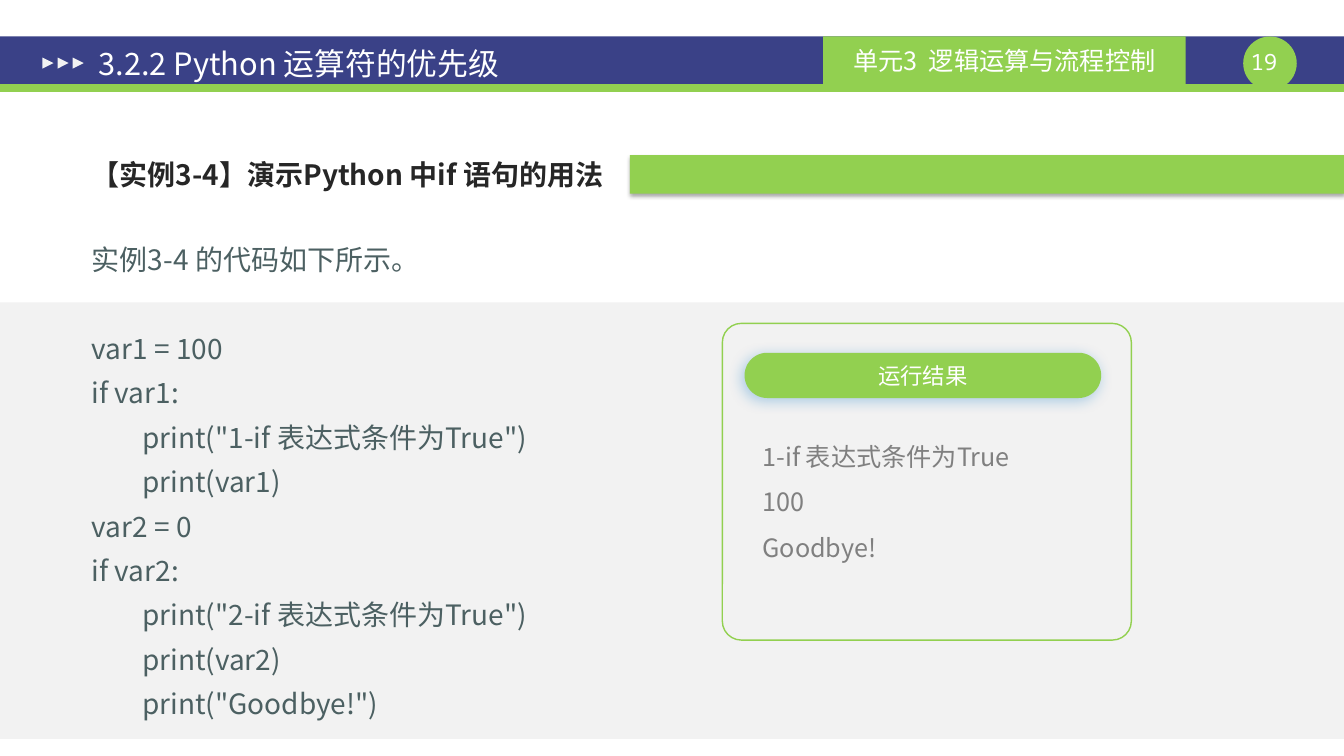
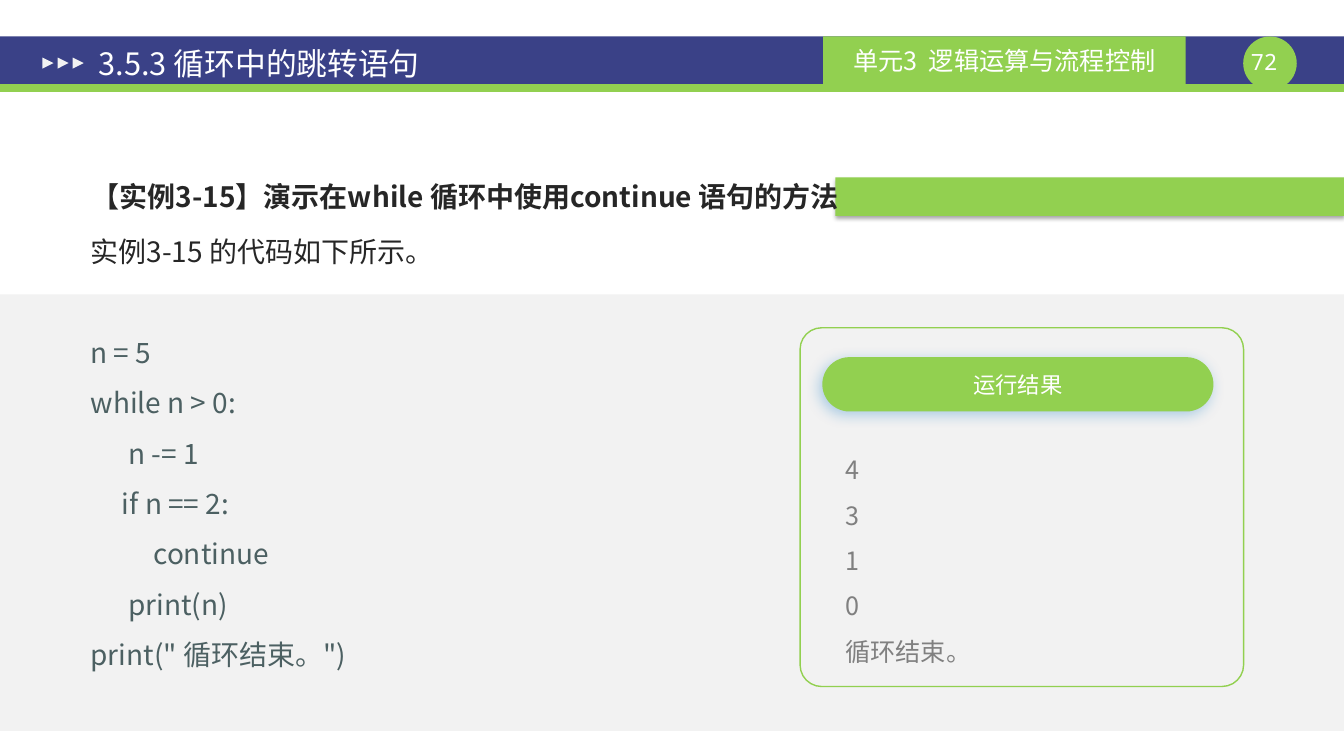
from lxml import etree
from pptx import Presentation
from pptx.dml.color import RGBColor
from pptx.enum.shapes import MSO_SHAPE as Shape
from pptx.enum.text import MSO_ANCHOR as Anchor, MSO_AUTO_SIZE as AutoSize, PP_ALIGN as Align
from pptx.oxml.ns import qn
from pptx.util import Cm, Pt

WIDTH, HEIGHT = 33.88, 19.05
SANS, MONO = "Noto Sans CJK SC", "Noto Sans Mono"
GREEN, NAVY, PALE, WHITE = "92D050", "3A4187", "F2F2F2", "FFFFFF"
DARK, SLATE, GREY = "262626", "4C6062", "808080"
CHAPTER = "单元3  逻辑运算与流程控制"
INDENT, TAB = 1.27, 3.39

# colour, opacity %, blur pt, distance pt, angle
BAR_SHADOW = ("000000", 35, 3.1, 1.8, 90)
BUTTON_SHADOW = ("0070C0", 30, 10, 3, 135)


def rgb(value):
    return RGBColor.from_string(value)


class Lesson:
    """Holds the deck, its style and the current slide."""

    def __init__(self):
        self.deck = Presentation()
        self.deck.slide_width, self.deck.slide_height = Cm(WIDTH), Cm(HEIGHT)
        self.slide = None

    # Text helpers
    def format_runs(self, para, size, color, bold=False, font=SANS):
        for span in para.runs:
            span.font.size, span.font.bold = Pt(size), bold
            span.font.color.rgb = rgb(color)
            span.font.name = font
            latin = span.font._element.find(qn("a:latin"))
            east_asian = etree.Element(qn("a:ea"), typeface=font)
            latin.addnext(east_asian)

    def fill_text(self, box, lines, size, color, spacing=1.0, align=Align.LEFT,
                  indent=0, bold=False, font=SANS):
        frame = box.text_frame
        frame.word_wrap, frame.auto_size = True, AutoSize.NONE
        frame.text = "\n".join(lines)
        for para in frame.paragraphs:
            props = para._p.get_or_add_pPr()
            props.set("marL", "0")
            props.set("indent", str(Cm(indent)))
            etree.SubElement(props, qn("a:buNone"))
            if "\t" in para.text:
                tabs = etree.SubElement(props, qn("a:tabLst"))
                etree.SubElement(tabs, qn("a:tab"), pos=str(Cm(TAB)), algn="l")
            para.alignment, para.line_spacing = align, spacing
            para.space_before = para.space_after = Pt(0)
            self.format_runs(para, size, color, bold, font)
        return frame

    def set_margins(self, frame, side, top):
        frame.margin_left = frame.margin_right = Cm(side)
        frame.margin_top = frame.margin_bottom = Cm(top)

    # Basic elements
    def shape(self, kind, left, top, width, height, fill=None, line=None,
              shadow=None, radius=None):
        shape = self.slide.shapes.add_shape(
            kind, Cm(left), Cm(top), Cm(width), Cm(height))
        if radius is not None:
            shape.adjustments[0] = radius
        if fill:
            shape.fill.solid()
            shape.fill.fore_color.rgb = rgb(fill)
        else:
            shape.fill.background()
        if line:
            shape.line.color.rgb, shape.line.width = rgb(line), Pt(1)
        else:
            shape.line.fill.background()
        shape.shadow.inherit = False
        if shadow:
            self.cast_shadow(shape, *shadow)
        return shape

    def cast_shadow(self, shape, color, opacity, blur, distance, angle):
        effects = shape._element.spPr.find(qn("a:effectLst"))
        outer = etree.SubElement(
            effects, qn("a:outerShdw"), blurRad=str(Pt(blur)),
            dist=str(Pt(distance)), dir=str(angle * 60000), rotWithShape="0")
        tint = etree.SubElement(outer, qn("a:srgbClr"), val=color)
        etree.SubElement(tint, qn("a:alpha"), val=str(opacity * 1000))

    def text(self, left, top, width, height, lines, size, color, **style):
        box = self.slide.shapes.add_textbox(Cm(left), Cm(top), Cm(width), Cm(height))
        return self.fill_text(box, lines, size, color, **style)

    def label(self, shape, text, size):
        frame = self.fill_text(shape, [text], size, WHITE, align=Align.CENTER)
        frame.vertical_anchor = Anchor.MIDDLE

    def place(self, holder, left, top, width, height):
        """Position a placeholder and bring it to the front."""
        holder.left, holder.top = Cm(left), Cm(top)
        holder.width, holder.height = Cm(width), Cm(height)
        self.slide.shapes._spTree.append(holder._element)

    # Slide parts
    def page(self, title, number):
        self.slide = self.deck.slides.add_slide(self.deck.slide_layouts[1])
        self.shape(Shape.RECTANGLE, 0, 0.92, WIDTH, 1.2, NAVY)
        self.shape(Shape.RECTANGLE, 0, 2.12, WIDTH, 0.2, GREEN)
        self.shape(Shape.OVAL, 31.34, 0.92, 1.35, 1.35, GREEN)
        frame = self.text(31.19, 1.22, 1.35, 0.69, [str(number)], 16, WHITE,
                          align=Align.CENTER, font=MONO)
        self.set_margins(frame, 0, 0)
        chapter = self.shape(Shape.RECTANGLE, 20.75, 0.92, 9.14, 1.2, GREEN)
        self.label(chapter, CHAPTER, 18)
        for step in range(3):
            arrow = self.shape(Shape.ISOSCELES_TRIANGLE, 1.07 + 0.38 * step, 1.45,
                               0.28, 0.28, PALE)
            arrow.rotation = 90
        holder = self.slide.shapes.title
        self.place(holder, 2.16, 1.02, 18.29, 1.12)
        frame = self.fill_text(holder, [title], 22, WHITE)
        frame.vertical_anchor = Anchor.MIDDLE
        self.set_margins(frame, 0.33, 0.18)

    def heading(self, text, top, bar_left):
        self.shape(Shape.RECTANGLE, bar_left, top + 0.33, WIDTH - bar_left, 0.97,
                   GREEN, shadow=BAR_SHADOW)
        self.text(0.79, top, 30.76, 1.27, [text], 20, DARK, spacing=1.32,
                  indent=INDENT, bold=True)

    def code(self, intro, lines, left, top, width, height, panel_top, spacing,
             intro_color=SLATE):
        self.shape(Shape.RECTANGLE, 0, panel_top, WIDTH, 11, PALE)
        body = self.slide.placeholders[1]
        self.place(body, left, top, width, height)
        frame = self.fill_text(body, [intro, *lines], 20, SLATE, spacing=spacing,
                               indent=INDENT)
        frame.vertical_anchor = Anchor.TOP
        first, second = frame.paragraphs[:2]
        self.format_runs(first, 20, intro_color)
        second.space_before = Pt(24 * spacing)

    def result(self, lines, left, top, width, height, button_height, text_inset):
        self.shape(Shape.ROUNDED_RECTANGLE, left, top, width, height, line=GREEN,
                   radius=0.06)
        button_top = top + 0.74
        text_top = button_top + button_height + 0.58
        self.text(left + text_inset, text_top, width - 2 * text_inset,
                  top + height - text_top, lines, 18, GREY, spacing=1.5)
        button = self.shape(Shape.ROUNDED_RECTANGLE, left + 0.56, button_top,
                            width - 1.32, button_height, GREEN,
                            shadow=BUTTON_SHADOW, radius=0.5)
        self.label(button, "运行结果", 16)


def main():
    lesson = Lesson()

    # The if statement
    lesson.page("3.2.2 Python 运算符的优先级", 19)
    lesson.heading("【实例3-4】演示Python 中if 语句的用法", 3.58, 15.88)
    lesson.code("实例3-4 的代码如下所示。", [
        "var1 = 100",
        "if var1:",
        '\tprint("1-if 表达式条件为True")',
        "\tprint(var1)",
        "var2 = 0",
        "if var2:",
        '\tprint("2-if 表达式条件为True")',
        "\tprint(var2)",
        '\tprint("Goodbye!")',
    ], 0.79, 5.72, 30.76, 12.67, panel_top=7.62, spacing=1.32)
    lesson.result(["1-if 表达式条件为True", "100", "Goodbye!"],
                  18.21, 8.15, 10.31, 7.98, button_height=1.14, text_inset=0.76)

    # The continue statement
    lesson.page("3.5.3 循环中的跳转语句", 72)
    lesson.heading("【实例3-15】演示在while 循环中使用continue 语句的方法", 4.14, 21.06)
    lesson.code("实例3-15 的代码如下所示。", [
        "n = 5",
        "while n > 0:",
        "      n -= 1",
        "     if n == 2:",
        "          continue",
        "      print(n)",
        'print(" 循环结束。")',
    ], 0.76, 5.36, 18.72, 11.79, panel_top=7.42, spacing=1.5, intro_color=DARK)
    lesson.result(["4", "3", "1", "0", "循环结束。"],
                  20.17, 8.26, 11.18, 9.04, button_height=1.37, text_inset=0.89)

    lesson.deck.save("out.pptx")


if __name__ == "__main__":
    main()
